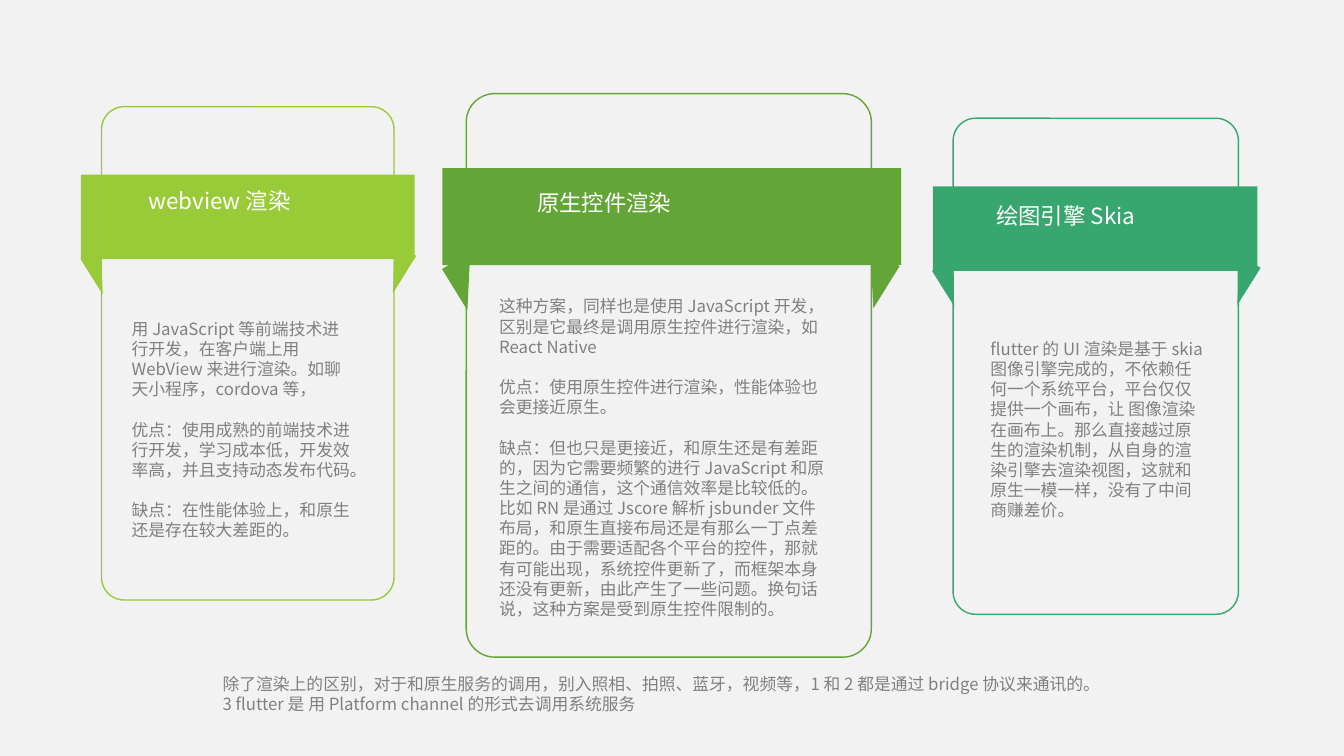
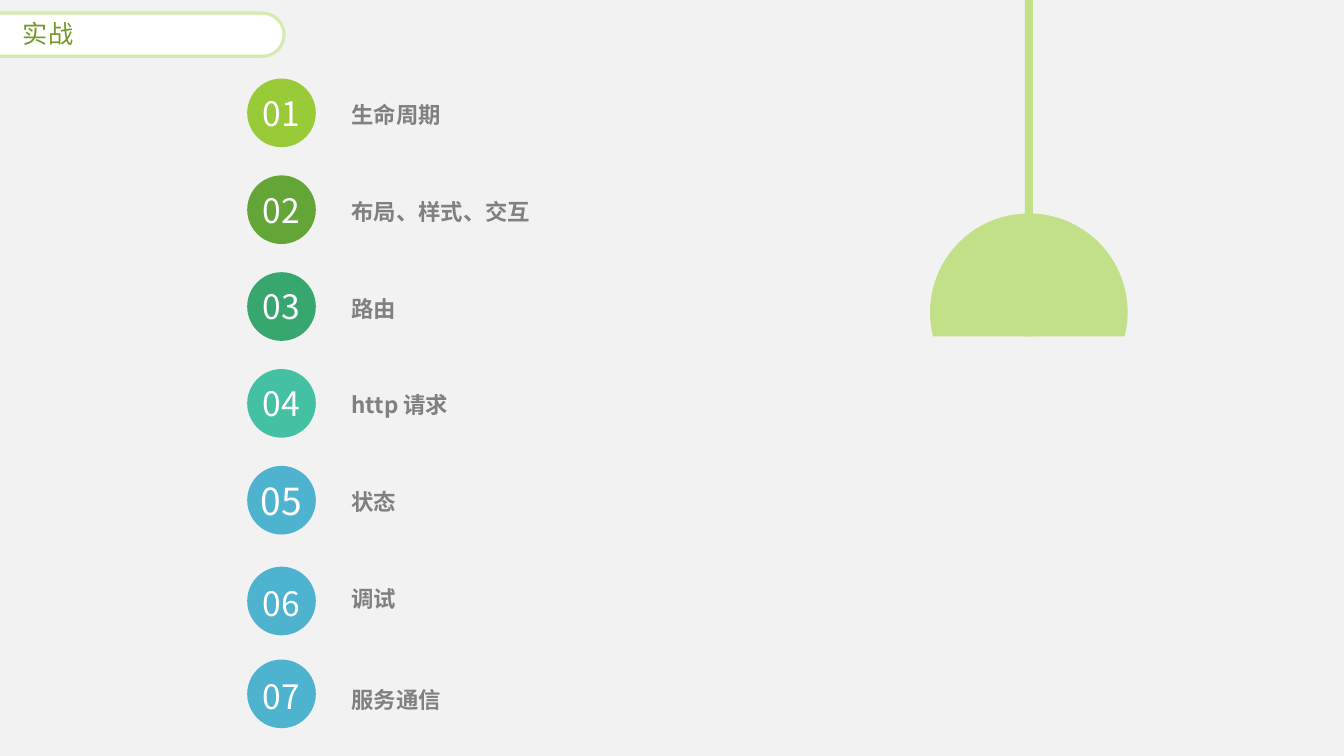
from dataclasses import dataclass
from math import asin, degrees
from typing import NamedTuple, Optional

from lxml.etree import SubElement
from pptx import Presentation
from pptx.dml.color import RGBColor
from pptx.enum.shapes import MSO_SHAPE
from pptx.enum.text import MSO_ANCHOR, PP_ALIGN
from pptx.oxml.ns import qn
from pptx.shapes.autoshape import Shape
from pptx.slide import Slide
from pptx.text.text import TextFrame
from pptx.util import Cm, Pt


@dataclass(frozen=True)
class Theme:
    font: str = "Noto Sans CJK SC"
    background: str = "F2F2F2"
    white: str = "FFFFFF"
    grey: str = "808080"
    lime: str = "99CB38"
    green: str = "63A537"
    emerald: str = "37A76F"
    teal: str = "44C1A3"
    blue: str = "4EB3CF"
    lamp: str = "C2E088"
    tab_line: str = "D6EAAF"
    tab_text: str = "739A28"
    body_size: float = 12
    heading_size: float = 16
    tab_size: float = 18
    number_size: float = 24
    large_number_size: float = 26.6
    paragraph_gap: float = 14.4


THEME = Theme()


class Box(NamedTuple):
    """Left, top, width and height in centimetres."""
    left: float
    top: float
    width: float
    height: float

    def lengths(self) -> tuple[Cm, ...]:
        return tuple(Cm(value) for value in self)


Points = tuple[tuple[float, float], ...]


class Folds(NamedTuple):
    """Triangles measured from where the outline's sides meet the band's bottom."""
    left: Points
    right: Points


SMALL_FOLDS = Folds(
    left=((-0.03, -0.31), (0.03, 0.89), (-0.53, 0)),
    right=((0.04, -0.4), (0.56, -0.08), (-0.03, 0.86)),
)
LARGE_FOLDS = Folds(
    left=((0.1, -0.33), (0.03, 1.14), (-0.61, 0.1)),
    right=((-0.03, -0.43), (0.71, 0.03), (0.05, 1.09)),
)


@dataclass(frozen=True)
class Panel:
    color: str
    outline: Box
    radius: float
    band: Box
    folds: Folds
    title: str
    title_box: Box
    body: tuple[str, ...]
    body_box: Box


@dataclass(frozen=True)
class Topic:
    label: str
    color: str
    number_size: float = THEME.number_size
    number_spacing: Optional[float] = None
    label_spacing: Optional[float] = None
    circle_shift: float = 0


PANELS = (
    Panel(
        THEME.lime, Box(2.56, 2.69, 7.37, 12.43), 0.57,
        Box(2.04, 4.4, 8.41, 2.13), SMALL_FOLDS,
        "webview 渲染", Box(3.5, 4.6, 4.7, 0.94),
        (
            "用 JavaScript 等前端技术进行开发，在客户端上用 WebView 来进行渲染。"
            "如聊天小程序，cordova 等，",
            "优点：使用成熟的前端技术进行开发，学习成本低，开发效率高，并且支持动态发布代码。",
            "缺点：在性能体验上，和原生还是存在较大差距的。",
        ),
        Box(3.07, 7.9, 6.05, 6.53),
    ),
    Panel(
        THEME.green, Box(11.75, 2.36, 10.21, 14.2), 0.72,
        Box(11.15, 4.24, 11.56, 2.44), LARGE_FOLDS,
        "原生控件渲染", Box(13.29, 4.64, 6.22, 0.94),
        (
            "这种方案，同样也是使用 JavaScript 开发，区别是它最终是调用原生控件进行渲染，"
            "如 React Native",
            "优点：使用原生控件进行渲染，性能体验也会更接近原生。",
            "缺点：但也只是更接近，和原生还是有差距的，因为它需要频繁的进行 JavaScript "
            "和原生之间的通信，这个通信效率是比较低的。比如 RN 是通过 Jscore 解析 jsbunder "
            "文件布局，和原生直接布局还是有那么一丁点差距的。由于需要适配各个平台的控件，"
            "那就有可能出现，系统控件更新了，而框架本身还没有更新，由此产生了一些问题。"
            "换句话说，这种方案是受到原生控件限制的。",
        ),
        Box(12.33, 7.34, 8.71, 9.09),
    ),
    Panel(
        THEME.emerald, Box(24.02, 2.98, 7.19, 12.5), 0.57,
        Box(23.51, 4.7, 8.18, 2.13), SMALL_FOLDS,
        "绘图引擎 Skia", Box(24.86, 4.98, 4.6, 0.94),
        (
            "flutter 的 UI 渲染是基于 skia 图像引擎完成的，不依赖任何一个系统平台，"
            "平台仅仅提供一个画布，让 图像渲染在画布上。那么直接越过原生的渲染机制，"
            "从自身的渲染引擎去渲染视图，这就和原生一模一样，没有了中间商赚差价。",
        ),
        Box(24.71, 8.41, 5.89, 5.49),
    ),
)
SERVICE_NOTE = (
    "除了渲染上的区别，对于和原生服务的调用，别入照相、拍照、蓝牙，视频等，"
    "1 和 2 都是通过 bridge 协议来通讯的。"
    "3 flutter 是 用 Platform channel 的形式去调用系统服务"
)
TOPICS = (
    Topic("生命周期", THEME.lime),
    Topic("布局、样式、交互", THEME.green),
    Topic("路由", THEME.emerald),
    Topic("http 请求", THEME.teal),
    Topic("状态", THEME.blue, number_size=THEME.large_number_size),
    Topic("调试", THEME.blue, number_spacing=1.1, circle_shift=0.1),
    Topic("服务通信", THEME.blue, number_spacing=1.1, label_spacing=1.3),
)


def write_text(
    frame: TextFrame,
    *texts: str,
    size: float = THEME.body_size,
    color: str = THEME.grey,
    bold: bool = False,
    align: PP_ALIGN = PP_ALIGN.LEFT,
    anchor: MSO_ANCHOR = MSO_ANCHOR.TOP,
    line_spacing: Optional[float] = None,
    wrap: bool = True,
    left_inset: Optional[float] = None,
) -> None:
    """Fill a frame with paragraphs; a left inset sets the other margins to zero."""
    frame.word_wrap = wrap
    frame.vertical_anchor = anchor
    if left_inset is not None:
        frame.margin_left = Cm(left_inset)
        frame.margin_top = frame.margin_right = frame.margin_bottom = 0
    for index, text in enumerate(texts):
        paragraph = frame.add_paragraph() if index else frame.paragraphs[0]
        paragraph.alignment = align
        if index:
            paragraph.space_before = Pt(THEME.paragraph_gap)
        if line_spacing:
            paragraph.line_spacing = line_spacing
        run = paragraph.add_run()
        run.text = text
        run.font.size = Pt(size)
        run.font.bold = bold
        run.font.color.rgb = RGBColor.from_string(color)
        run.font.name = THEME.font
        SubElement(run.font._element, qn("a:ea")).set("typeface", THEME.font)


def paint(shape: Shape, fill: Optional[str] = None, line: Optional[str] = None,
          line_width: float = 1) -> None:
    shape.shadow.inherit = False
    if fill:
        shape.fill.solid()
        shape.fill.fore_color.rgb = RGBColor.from_string(fill)
    else:
        shape.fill.background()
    if line:
        shape.line.color.rgb = RGBColor.from_string(line)
        shape.line.width = Pt(line_width)
    else:
        shape.line.fill.background()


def add_preset(slide: Slide, kind: MSO_SHAPE, box: Box, fill: Optional[str] = None,
               line: Optional[str] = None, line_width: float = 1) -> Shape:
    shape = slide.shapes.add_shape(kind, *box.lengths())
    paint(shape, fill, line, line_width)
    return shape


def add_text(slide: Slide, box: Box, *texts: str, **text_format) -> None:
    write_text(slide.shapes.add_textbox(*box.lengths()).text_frame, *texts, **text_format)


def add_fold(slide: Slide, x: float, y: float, points: Points, color: str) -> None:
    corners = [(Cm(x + across), Cm(y + down)) for across, down in points]
    builder = slide.shapes.build_freeform(*corners[0])
    builder.add_line_segments(corners[1:], close=True)
    paint(builder.convert_to_shape(), color)


def add_panel(slide: Slide, panel: Panel) -> None:
    outline, band = panel.outline, panel.band
    card = add_preset(slide, MSO_SHAPE.ROUNDED_RECTANGLE, outline, line=panel.color)
    card.adjustments[0] = panel.radius / min(outline.width, outline.height)
    band_bottom = band.top + band.height
    add_fold(slide, outline.left + outline.width, band_bottom, panel.folds.right, panel.color)
    add_fold(slide, outline.left, band_bottom, panel.folds.left, panel.color)
    add_preset(slide, MSO_SHAPE.RECTANGLE, band, panel.color)
    add_text(slide, panel.title_box, panel.title, size=THEME.heading_size, color=THEME.white)
    add_text(slide, panel.body_box, *panel.body)


def add_lamp(slide: Slide) -> None:
    center, middle, radius, bottom, cord = 25.93, 7.87, 2.49, 8.48, 0.2
    add_preset(slide, MSO_SHAPE.RECTANGLE, Box(center - cord / 2, 0, cord, bottom), THEME.lamp)
    shade = add_preset(
        slide, MSO_SHAPE.CHORD,
        Box(center - radius, middle - radius, 2 * radius, 2 * radius), THEME.lamp,
    )
    cut_angle = degrees(asin((bottom - middle) / radius))
    angle_unit = 0.6  # one degree is 60000 units, and an adjustment of 1 is 100000
    shade.adjustments[0] = (180 - cut_angle) * angle_unit
    shade.adjustments[1] = cut_angle * angle_unit


def add_tab(slide: Slide, title: str) -> None:
    tab = add_preset(slide, MSO_SHAPE.ROUNDED_RECTANGLE, Box(-0.89, 0.33, 8.05, 1.09),
                     THEME.white, THEME.tab_line, 2.25)
    tab.adjustments[0] = 0.5
    add_text(slide, Box(0.33, 0.33, 1.78, 1.02), title,
             size=THEME.tab_size, color=THEME.tab_text, wrap=False)


def add_topic(slide: Slide, index: int, topic: Topic) -> None:
    top = 1.98 + 2.44 * index
    circle = add_preset(slide, MSO_SHAPE.OVAL,
                        Box(6.23, top + topic.circle_shift, 1.73, 1.73), topic.color)
    write_text(circle.text_frame, f"{index + 1:02}", size=topic.number_size,
               color=THEME.white, align=PP_ALIGN.CENTER, anchor=MSO_ANCHOR.MIDDLE,
               line_spacing=topic.number_spacing, wrap=False, left_inset=0)
    add_text(slide, Box(7.54, top + 0.08, 11, 1.65), topic.label, size=THEME.heading_size,
             bold=True, anchor=MSO_ANCHOR.MIDDLE, line_spacing=topic.label_spacing,
             wrap=False, left_inset=1.32)


def main() -> None:
    presentation = Presentation()
    presentation.slide_width, presentation.slide_height = Cm(33.87), Cm(19.05)
    background = presentation.slide_master.background.fill
    background.solid()
    background.fore_color.rgb = RGBColor.from_string(THEME.background)
    blank = presentation.slide_layouts[6]

    rendering = presentation.slides.add_slide(blank)
    for panel in PANELS:
        add_panel(rendering, panel)
    add_text(rendering, Box(5.36, 16.84, 22.33, 1.9), SERVICE_NOTE)

    practice = presentation.slides.add_slide(blank)
    add_lamp(practice)
    add_tab(practice, "实战")
    for index, topic in enumerate(TOPICS):
        add_topic(practice, index, topic)

    presentation.save("out.pptx")


if __name__ == "__main__":
    main()
